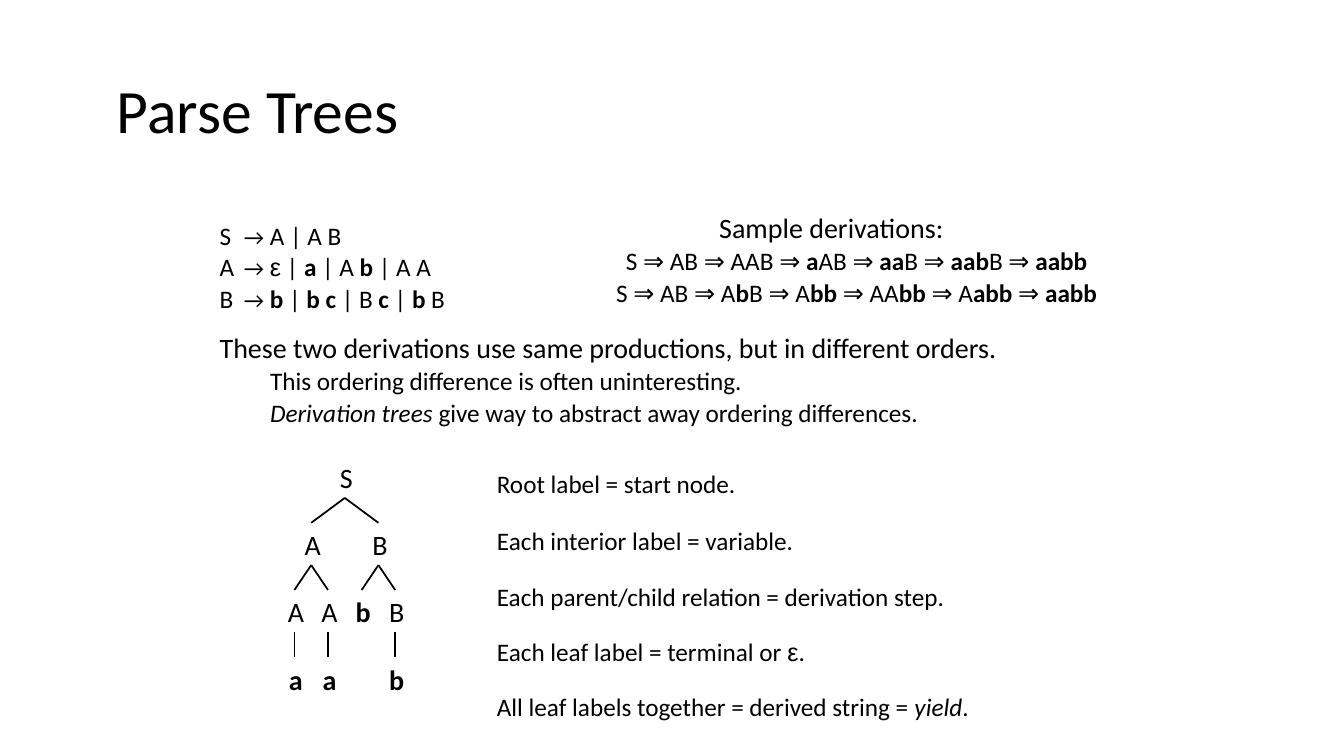
from itertools import groupby

from lxml import etree
from pptx import Presentation
from pptx.dml.color import RGBColor
from pptx.enum.shapes import MSO_CONNECTOR
from pptx.enum.text import MSO_ANCHOR, MSO_AUTO_SIZE, PP_ALIGN
from pptx.oxml.ns import qn
from pptx.util import Inches, Pt

STRAIGHT = MSO_CONNECTOR.STRAIGHT
LEFT, CENTER = PP_ALIGN.LEFT, PP_ALIGN.CENTER
TOP, MIDDLE = MSO_ANCHOR.TOP, MSO_ANCHOR.MIDDLE
FIT, NO_FIT = MSO_AUTO_SIZE.SHAPE_TO_FIT_TEXT, MSO_AUTO_SIZE.NONE

# Content: *bold*, _italic_
TITLE = "Parse Trees"
GRAMMAR = [
    "S\t→ A | A B",
    "A\t→ ε | *a* | A *b* | A A",
    "B\t→ *b* | *b c* | B *c* | *b *B",
]
DERIVATIONS = [
    "Sample derivations:",
    "S ⇒ AB ⇒ AAB ⇒ *a*AB ⇒ *aa*B ⇒ *aab*B ⇒ *aabb*",
    "S ⇒ AB ⇒ A*b*B ⇒ A*bb *⇒ AA*bb *⇒ A*abb *⇒ *aabb*",
]
REMARKS = [
    "These two derivations use same productions, but in different orders.",
    "This ordering difference is often uninteresting.",
    "_Derivation trees_ give way to abstract away ordering differences.",
]
# Text, top, width
NOTES = [
    ("Root label = start node.", 4.6, 2.6),
    ("Each interior label = variable.", 5.16, 3.18),
    ("Each parent/child relation = derivation step.", 5.72, 4.7),
    ("Each leaf label = terminal or ε.", 6.26, 3.29),
    ("All leaf labels together = derived string = _yield_.", 6.81, 4.94),
]
# Label, column, row, index of the parent node
TREE = [
    ("S", 1.5, 0, None),
    ("A", 0.5, 1, 0), ("B", 2.5, 1, 0),
    ("A", 0, 2, 1), ("A", 1, 2, 1), ("*b*", 2, 2, 2), ("B", 3, 2, 2),
    ("*a*", 0, 3, 3), ("*a*", 1, 3, 4), ("*b*", 3, 3, 6),
]

THEME = {
    "font": "Calibri", "symbol_font": "Arial", "color": RGBColor(0, 0, 0),
    "title": 44, "heading": 20, "body": 18, "arrow": 16,
    "line": 1.25, "tight": 0.9, "gap": 3,
}
TAB_STOP = 0.24
INDENT = 0.5
NOTE_LEFT, NOTE_HEIGHT = 4.83, 0.4
TREE_LEFT, TREE_TOP = 2.92, 4.52
COLUMN_STEP, ROW_STEP = 1 / 3, 2 / 3
NODE_WIDTH, NODE_HEIGHT = 0.36, 0.44
NODE_OFFSET = 0.165
EDGE_START = 0.42


def styled_runs(markup):
    """Split markup into (text, bold, italic, symbol) runs."""
    bold = italic = False
    characters = []
    for character in markup:
        if character == "*":
            bold = not bold
        elif character == "_":
            italic = not italic
        else:
            symbol = character if character in "→ε" else ""
            characters.append((character, bold, italic, symbol))
    for style, group in groupby(characters, key=lambda item: item[1:]):
        yield ("".join(item[0] for item in group), *style)


def write_paragraph(paragraph, markup, size, align, spacing, indent):
    properties = paragraph._p.get_or_add_pPr()
    if indent:
        properties.set("lvl", "1")
        properties.set("marL", str(Inches(indent)))
        properties.set("indent", "0")
    if "\t" in markup:
        tabs = etree.SubElement(properties, qn("a:tabLst"))
        etree.SubElement(tabs, qn("a:tab"), pos=str(Inches(TAB_STOP)), algn="l")
    paragraph.alignment = align
    paragraph.line_spacing = spacing
    paragraph.font.name = THEME["font"]
    paragraph.font.size = Pt(size)
    paragraph.font.color.rgb = THEME["color"]
    for text, bold, italic, symbol in styled_runs(markup):
        run = paragraph.add_run()
        run.text = text
        if bold:
            run.font.bold = True
        if italic:
            run.font.italic = True
        if symbol == "→":
            run.font.size = Pt(THEME["arrow"])
        elif symbol == "ε":
            run.font.name = THEME["symbol_font"]


def add_text(shapes, box, lines, sizes, align=LEFT, spacing=1.0, indents=(0, 0, 0)):
    shape = shapes.add_textbox(*(Inches(length) for length in box))
    frame = shape.text_frame
    frame.word_wrap = False
    frame.auto_size = FIT
    frame.vertical_anchor = TOP
    for index, (line, size, indent) in enumerate(zip(lines, sizes, indents)):
        paragraph = frame.add_paragraph() if index else frame.paragraphs[0]
        write_paragraph(paragraph, line, size, align, spacing, indent)
        if index:
            paragraph.space_before = Pt(THEME["gap"])
    return frame


def add_edge(shapes, start, end):
    edge = shapes.add_connector(STRAIGHT, *(Inches(value) for value in start + end))
    edge.line.color.rgb = THEME["color"]
    edge.line.width = Pt(THEME["line"])
    etree.SubElement(edge._element.spPr, qn("a:effectLst"))


def node_position(node):
    return TREE_LEFT + node[1] * COLUMN_STEP, TREE_TOP + node[2] * ROW_STEP


def add_tree(shapes):
    for node in TREE:
        x, y = node_position(node)
        box = (x - NODE_OFFSET, y, NODE_WIDTH, NODE_HEIGHT)
        add_text(shapes, box, [node[0]], [THEME["heading"]], CENTER)
    for node in TREE[1:]:
        parent_x, parent_y = node_position(TREE[node[3]])
        add_edge(shapes, (parent_x, parent_y + EDGE_START), node_position(node))


def main():
    presentation = Presentation()
    presentation.slide_width = Inches(13.33)
    presentation.slide_height = Inches(7.5)
    slide = presentation.slides.add_slide(presentation.slide_layouts[6])
    shapes = slide.shapes
    body, tight = THEME["body"], THEME["tight"]
    outline_sizes = (THEME["heading"], body, body)
    outline_indents = (0, INDENT, INDENT)

    # Title
    title = add_text(shapes, (0.92, 0.4, 11.5, 1.45), [TITLE], [THEME["title"]],
                     spacing=tight)
    title.word_wrap = True
    title.auto_size = NO_FIT
    title.vertical_anchor = MIDDLE
    title.margin_left = Inches(0.24)

    # Grammar, derivations and remarks
    add_text(shapes, (5.37, 2.08, 5.75, 1.07), DERIVATIONS, outline_sizes,
             CENTER, tight, outline_indents)
    add_text(shapes, (2.08, 2.17, 2.49, 1.04), GRAMMAR, (body,) * 3, spacing=tight)
    add_text(shapes, (2.08, 3.27, 7.99, 1.07), REMARKS, outline_sizes,
             spacing=tight, indents=outline_indents)

    # Notes beside the tree
    notes = shapes.add_group_shape().shapes
    for text, top, width in NOTES:
        add_text(notes, (NOTE_LEFT, top, width, NOTE_HEIGHT), [text], [body])

    # Parse tree
    add_tree(shapes.add_group_shape().shapes)

    presentation.save("out.pptx")


if __name__ == "__main__":
    main()
